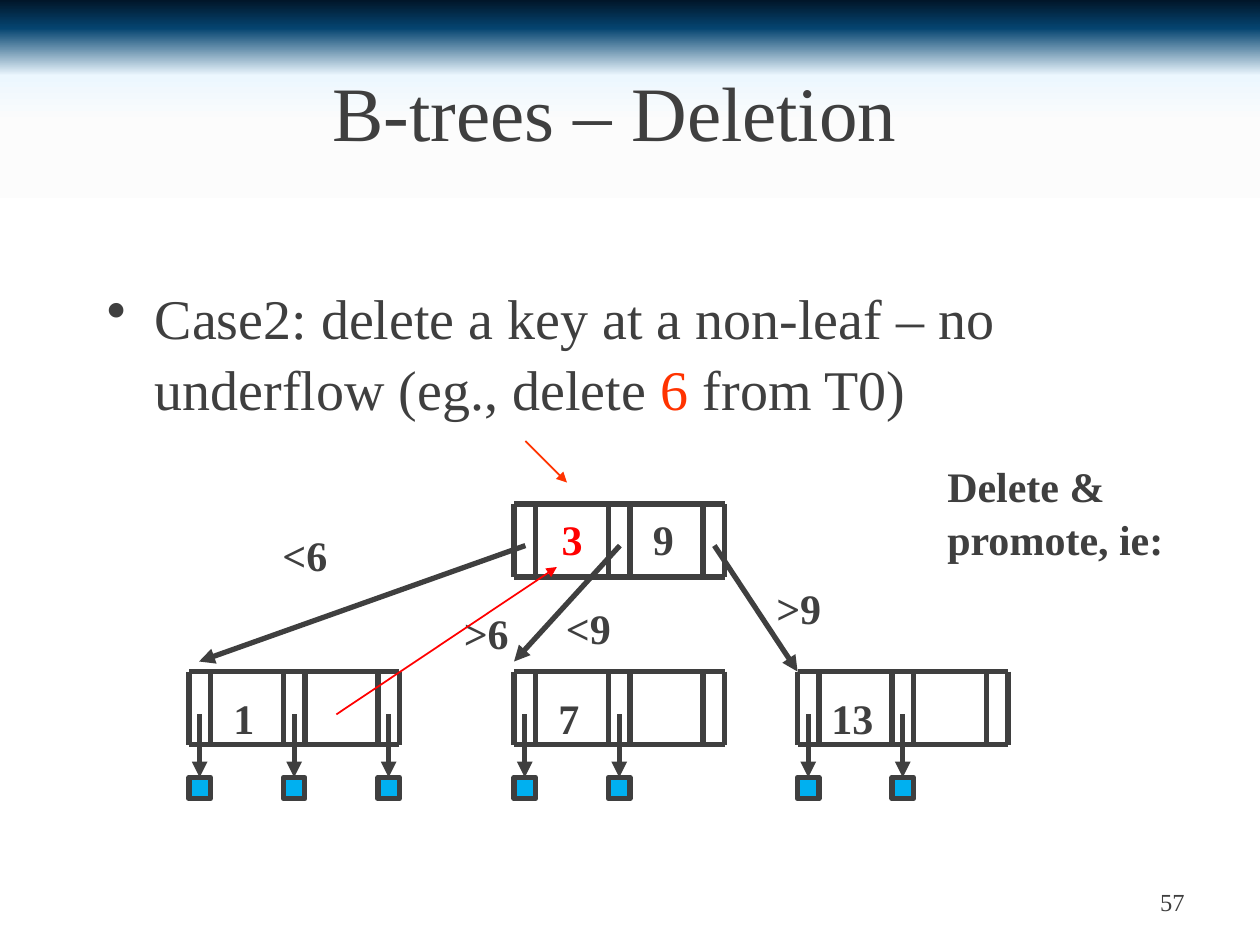
"""Build the B-tree deletion slide."""
from lxml import etree
from pptx import Presentation
from pptx.dml.color import RGBColor
from pptx.enum.shapes import MSO_CONNECTOR, MSO_SHAPE
from pptx.enum.text import MSO_ANCHOR, PP_ALIGN
from pptx.oxml.ns import qn
from pptx.util import Inches, Pt

STRAIGHT = MSO_CONNECTOR.STRAIGHT
RECTANGLE = MSO_SHAPE.RECTANGLE
TOP, MIDDLE = MSO_ANCHOR.TOP, MSO_ANCHOR.MIDDLE
LEFT, CENTER, RIGHT = PP_ALIGN.LEFT, PP_ALIGN.CENTER, PP_ALIGN.RIGHT
FONT = "Times New Roman"
COLORS = {"dark": "3F3F3F", "red": "FF0000", "orange": "FF3300", "blue": "00B0F0"}
BACKGROUND_STOPS = [(0, "011629"), (3, "054470"), (8, "ECF7FE"),
                    (13, "FCFCFC"), (21, "FFFFFF"), (98, "FFFFFF")]

deck = Presentation()
deck.slide_width, deck.slide_height = Inches(10), Inches(7.5)
page = deck.slides.add_slide(deck.slide_layouts[6])

page.background.fill.gradient()
gradient = page.background._cSld.find(".//" + qn("a:gradFill"))
for child in list(gradient):
    gradient.remove(child)
stop_list = etree.SubElement(gradient, qn("a:gsLst"))
for position, color in BACKGROUND_STOPS:
    stop = etree.SubElement(stop_list, qn("a:gs"), pos=str(position * 1000))
    etree.SubElement(stop, qn("a:srgbClr"), val=color)
etree.SubElement(gradient, qn("a:lin"), ang="5400000", scaled="0")


def add_line(start, end, color="dark", width=3, arrow=False):
    line = page.shapes.add_connector(STRAIGHT, *map(Inches, start + end))
    line.line.color.rgb = RGBColor.from_string(COLORS[color])
    line.line.width = Pt(width)
    if arrow:
        etree.SubElement(line.line._get_or_add_ln(), qn("a:tailEnd"), type="triangle")
    etree.SubElement(line._element.spPr, qn("a:effectLst"))


def add_text(spans, place, size=24, bold=True, align=CENTER, anchor=TOP, wrap=True, bullet=False):
    box = page.shapes.add_textbox(*map(Inches, place))
    frame = box.text_frame
    frame.word_wrap = wrap
    frame.vertical_anchor = anchor
    para = frame.paragraphs[0]
    para.alignment = align
    para.line_spacing = 1.06
    if bullet:
        properties = para._p.get_or_add_pPr()
        properties.set("marL", str(Inches(0.38)))
        properties.set("indent", str(-Inches(0.38)))
        etree.SubElement(properties, qn("a:buChar"), char="•")
    for text, color in spans:
        span = para.add_run()
        span.text = text
        span.font.name = FONT
        span.font.size = Pt(size)
        span.font.bold = bold
        span.font.color.rgb = RGBColor.from_string(COLORS[color])


add_text([("57", "dark")], (7.17, 6.95, 2.33, 0.4), 14, False, RIGHT, MIDDLE)
add_text([("B-trees – Deletion", "dark")], (0.17, 0.3, 9.42, 1.12), 44, False, CENTER, MIDDLE)
add_text([("Case2: delete a key at a non-leaf – no underflow (eg., delete ", "dark"),
          ("6", "orange"), (" from T0)", "dark")],
         (0.75, 2.17, 8.58, 1.17), 32, False, LEFT, bullet=True)

POINTER_STEP, POINTER_WIDTH = 0.75, 0.17
NODE_WIDTH, NODE_HEIGHT = 1.67, 0.58
LEAF_TOP, SQUARE_TOP = 5.33, 6.17
nodes = [(4.08, 4, 0), (6.33, LEAF_TOP, 2), (4.08, LEAF_TOP, 2), (1.5, LEAF_TOP, 3)]
for left, top, leaf_pointers in nodes:
    bottom = top + NODE_HEIGHT
    for slot in range(3):
        slot_left = left + slot * POINTER_STEP
        for x in (slot_left, slot_left + POINTER_WIDTH):
            add_line((x, top), (x, bottom))
    for y in (top, bottom):
        add_line((left, y), (left + NODE_WIDTH, y))
    for slot in range(leaf_pointers):
        slot_left = left + slot * POINTER_STEP
        middle = slot_left + POINTER_WIDTH / 2
        add_line((middle, 5.67), (middle, SQUARE_TOP), arrow=True)
        square = page.shapes.add_shape(RECTANGLE, Inches(slot_left), Inches(SQUARE_TOP),
                                       Inches(POINTER_WIDTH), Inches(POINTER_WIDTH))
        square.shadow.inherit = False
        square.fill.solid()
        square.fill.fore_color.rgb = RGBColor.from_string(COLORS["blue"])
        square.line.color.rgb = RGBColor.from_string(COLORS["dark"])
        square.line.width = Pt(3)

branches = [((4.17, 4.33), (1.58, 5.25)), ((4.92, 4.33), (4.08, 5.25)),
            ((5.67, 4.33), (6.33, 5.33))]
for start, end in branches:
    add_line(start, end, arrow=True)

labels = [("1", 1.75, 5.42, 0.37), ("7", 4.33, 5.42, 0.37), ("9", 5.08, 4, 0.37),
          ("13", 6.5, 5.42, 0.53), ("<6", 2.14, 4.13, 0.56), (">6", 3.58, 4.75, 0.56),
          ("<9", 4.39, 4.71, 0.56), (">9", 6.06, 4.55, 0.56)]
for text, left, top, width in labels:
    add_text([(text, "dark")], (left, top, width, 0.5), wrap=False)

add_text([("Delete & promote, ie:", "dark")], (7.42, 3.58, 2.33, 0.9), align=LEFT)
add_line((4.17, 3.5), (4.5, 3.83), "orange", 1, True)
add_text([("3", "red")], (4.33, 4, 0.42, 0.5))
add_line((2.67, 5.67), (4.42, 4.5), "red", 1, True)

deck.save("out.pptx")
